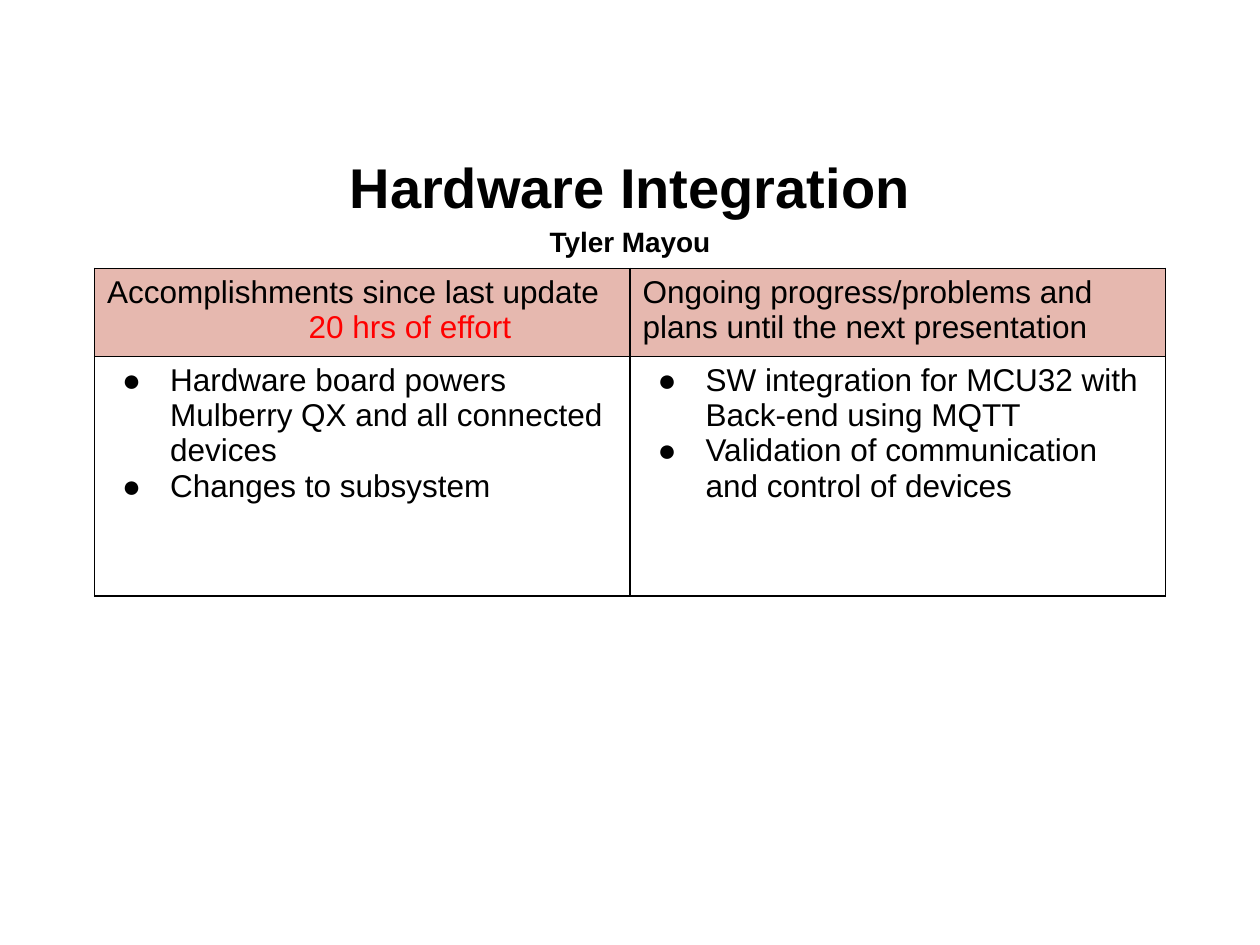
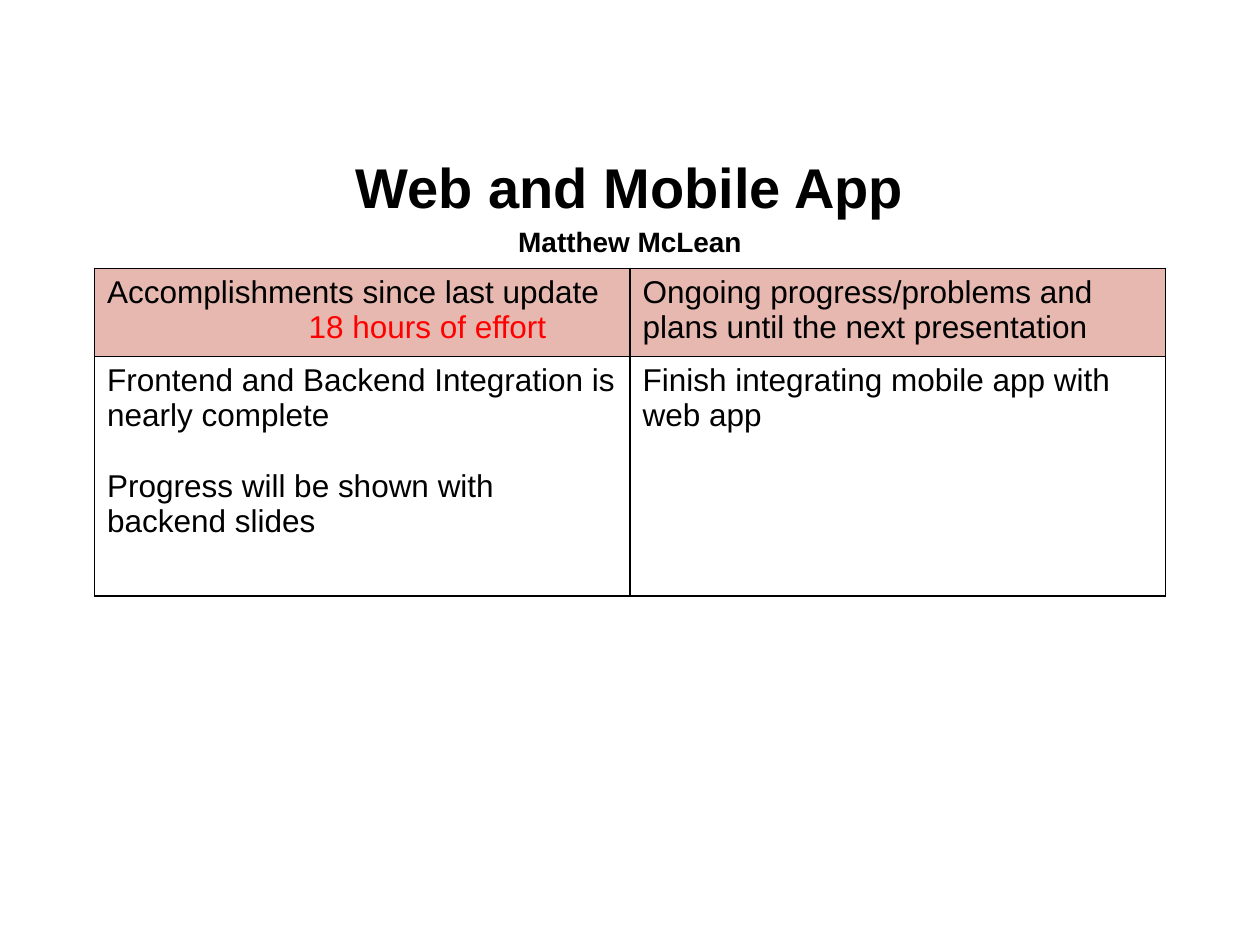
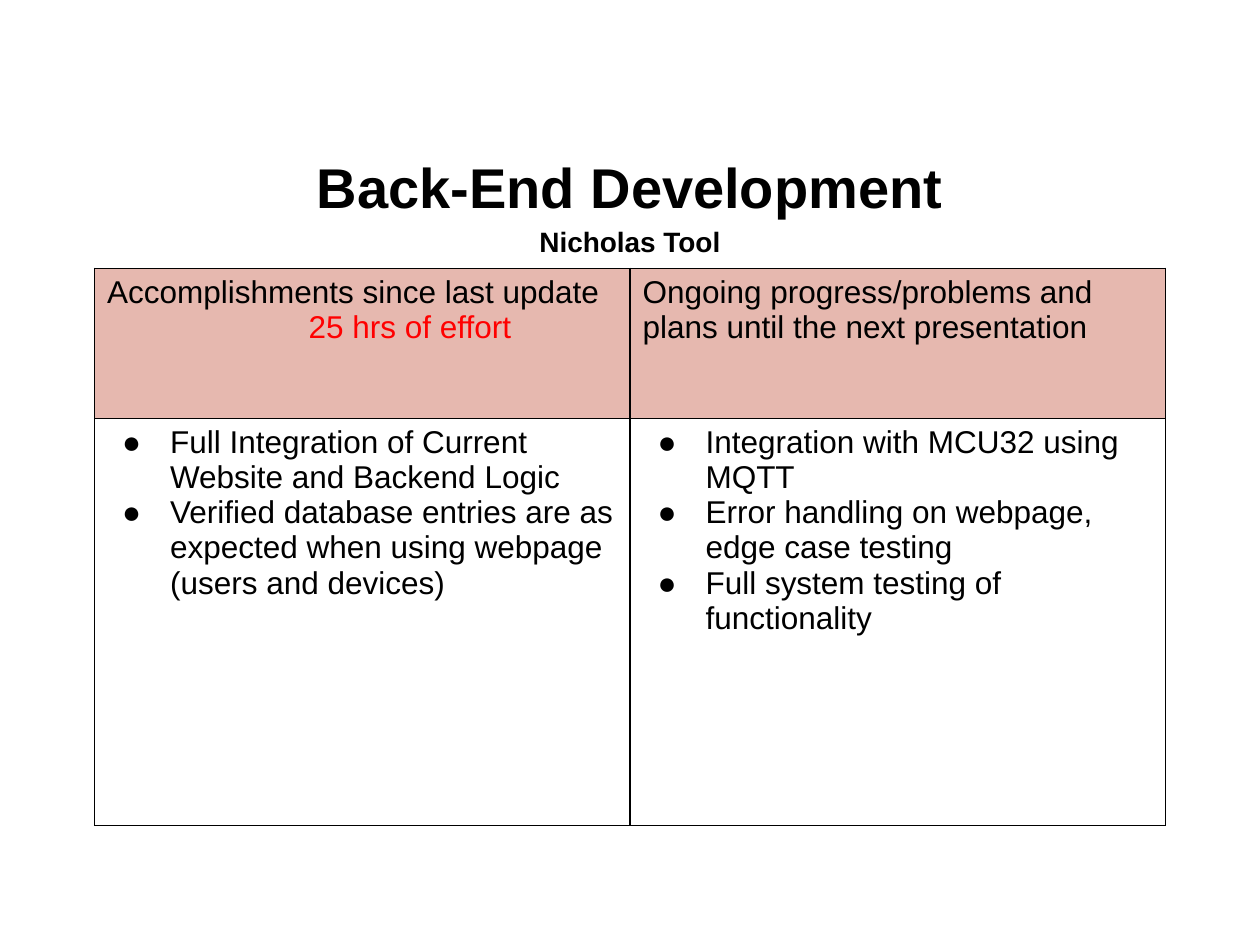
"""Build three status slides, one for each part of the project."""
from dataclasses import dataclass

from lxml.etree import SubElement
from pptx import Presentation
from pptx.dml.color import RGBColor
from pptx.enum.text import MSO_ANCHOR, MSO_AUTO_SIZE, PP_ALIGN
from pptx.oxml.ns import qn
from pptx.util import Inches, Pt

BLACK = RGBColor(0x00, 0x00, 0x00)
RED = RGBColor(0xFF, 0x00, 0x00)
ROSE = RGBColor(0xE6, 0xB8, 0xAF)
FONT = "Arial"
TITLE_ONLY = 5
COLUMN_WIDTH = Inches(4.25)
EFFORT_INDENT = Inches(1.6)
BULLET_INDENT = Inches(0.5)
BULLET_HANG = Inches(-0.38)
DONE_HEADING = "Accomplishments since last update"
PLANS_HEADING = "Ongoing progress/problems and plans until the next presentation"


@dataclass(frozen=True)
class Status:
    topic: str
    owner: str
    effort: str
    done: tuple[str, ...]
    plans: tuple[str, ...]
    bulleted: bool = True
    row_heights: tuple[float, float] = (0.7, 1.9)


STATUSES = (
    Status(
        "Hardware Integration", "Tyler Mayou", "20 hrs of effort",
        ("Hardware board powers Mulberry QX and all connected devices",
         "Changes to subsystem"),
        ("SW integration for MCU32 with Back-end using MQTT",
         "Validation of communication and control of devices"),
    ),
    Status(
        "Web and Mobile App", "Matthew McLean", "18 hours of effort",
        ("Frontend and Backend Integration is nearly complete",
         "Progress will be shown with backend slides"),
        ("Finish integrating mobile app with web app",),
        bulleted=False,
    ),
    Status(
        "Back-End Development", "Nicholas Tool", "25 hrs of effort",
        ("Full Integration of Current Website and Backend Logic",
         "Verified database entries are as expected when using webpage (users and devices)"),
        ("Integration with MCU32 using MQTT",
         "Error handling on webpage, edge case testing",
         "Full system testing of functionality"),
        row_heights=(1.19, 3.23),
    ),
)


def set_font(para, size: int, color: RGBColor = BLACK, bold: bool = False) -> None:
    """Give a paragraph its font."""
    font = para.font
    font.name, font.size, font.bold = FONT, Pt(size), bold
    font.color.rgb = color


def indent(para, left: int, first: int = 0) -> None:
    """Set the left margin and first-line indent of a paragraph."""
    properties = para._p.get_or_add_pPr()
    properties.set("marL", str(left))
    properties.set("indent", str(first))


def add_bullet(para) -> None:
    """Give a paragraph a hanging round bullet."""
    indent(para, BULLET_INDENT, BULLET_HANG)
    properties = para._p.get_or_add_pPr()
    color = SubElement(properties, qn("a:buClr"))
    SubElement(color, qn("a:srgbClr"), val=str(BLACK))
    SubElement(properties, qn("a:buFont"), typeface=FONT)
    SubElement(properties, qn("a:buChar"), char="●")


def add_borders(cell) -> None:
    """Draw a one-point black line on every side of a cell."""
    properties = cell._tc.get_or_add_tcPr()
    for side in ("lnL", "lnR", "lnT", "lnB"):
        line = SubElement(properties, qn(f"a:{side}"), w=str(Pt(1)))
        fill = SubElement(line, qn("a:solidFill"))
        SubElement(fill, qn("a:srgbClr"), val=str(BLACK))


def write_lines(cell, lines: tuple[str, ...], bulleted: bool = False, gap: int = 0) -> None:
    """Write one paragraph per line, with a gap in points between them."""
    frame = cell.text_frame
    frame.text = "\n".join(lines)
    for number, para in enumerate(frame.paragraphs):
        if number:
            para.space_before = Pt(gap)
        if bulleted:
            add_bullet(para)
        set_font(para, 18)


def write_title(slide, status: Status) -> None:
    """Put the topic and its owner in the title placeholder."""
    title = slide.shapes.title
    title.left, title.top = Inches(0.5), Inches(1.15)
    title.width, title.height = Inches(9), Inches(0.88)
    frame = title.text_frame
    frame.auto_size = MSO_AUTO_SIZE.NONE
    frame.vertical_anchor = MSO_ANCHOR.MIDDLE
    frame.text = f"{status.topic}\n{status.owner}"
    for para, size in zip(frame.paragraphs, (32, 16)):
        para.alignment = PP_ALIGN.CENTER
        para.line_spacing = 1.15
        set_font(para, size, bold=True)


def add_status_table(slide, status: Status) -> None:
    """Draw the table of accomplishments and plans."""
    table = slide.shapes.add_table(
        2, 2, Inches(0.75), Inches(2.13),
        2 * COLUMN_WIDTH, Inches(sum(status.row_heights)),
    ).table
    table.first_row = table.horz_banding = False
    for row, height in zip(table.rows, status.row_heights):
        row.height = Inches(height)
    for cell in table.iter_cells():
        add_borders(cell)
    headings = ((DONE_HEADING, status.effort), (PLANS_HEADING,))
    gap = 0 if status.bulleted else 20
    for column, (heading, items) in enumerate(zip(headings, (status.done, status.plans))):
        head, body = table.cell(0, column), table.cell(1, column)
        head.fill.solid()
        head.fill.fore_color.rgb = ROSE
        body.fill.background()
        write_lines(head, heading)
        write_lines(body, items, status.bulleted, gap)
    effort = table.cell(0, 0).text_frame.paragraphs[1]
    indent(effort, EFFORT_INDENT)
    set_font(effort, 18, RED)


def main() -> None:
    """Build and save the deck."""
    deck = Presentation()
    deck.slide_width, deck.slide_height = Inches(10), Inches(7.5)
    for status in STATUSES:
        slide = deck.slides.add_slide(deck.slide_layouts[TITLE_ONLY])
        write_title(slide, status)
        add_status_table(slide, status)
    deck.save("out.pptx")


if __name__ == "__main__":
    main()
